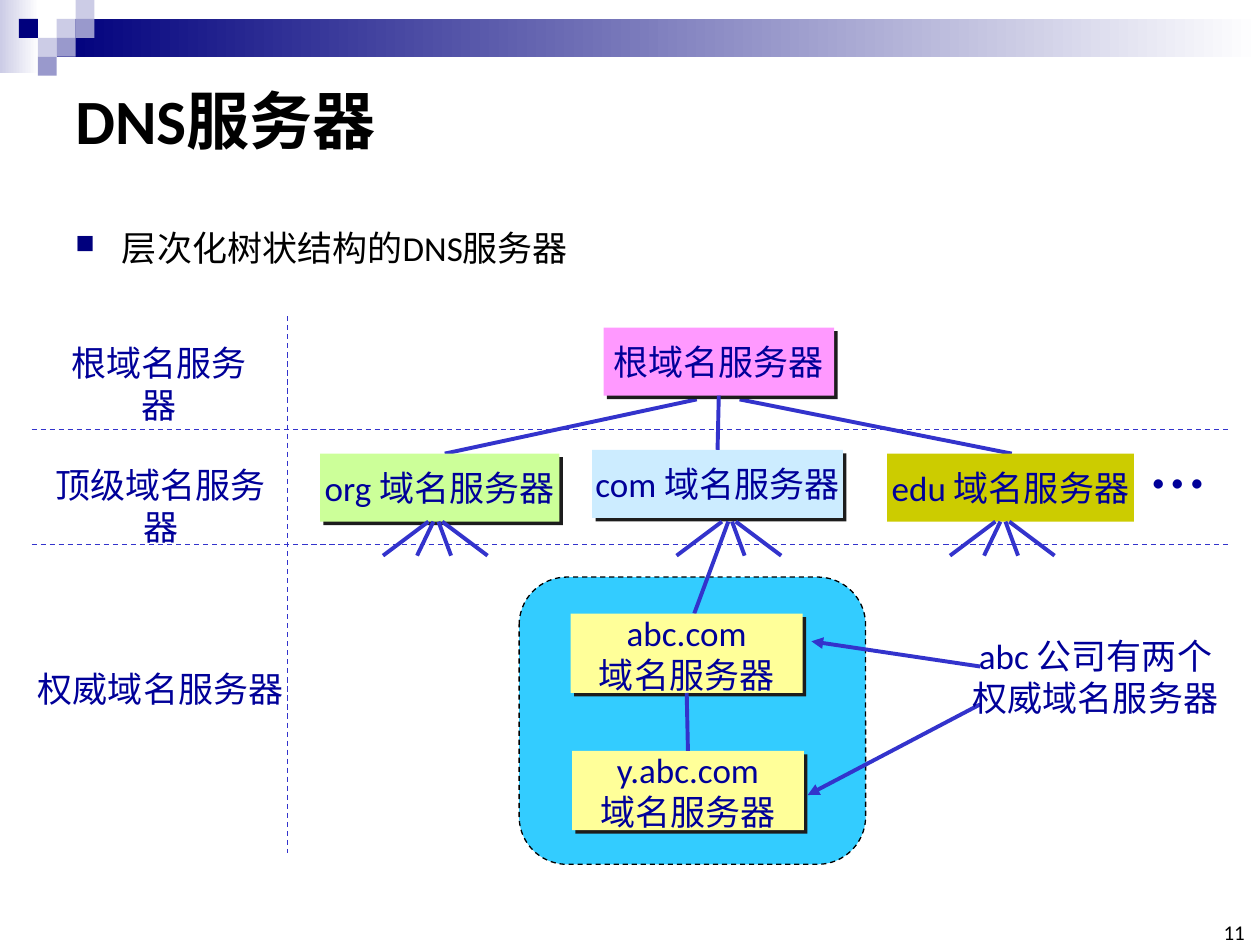
import pptx
import pptx.util
import pptx.dml.color
import pptx.enum.dml
import pptx.enum.shapes
import pptx.enum.text
import pptx.oxml
import pptx.oxml.ns

RGBColor = pptx.dml.color.RGBColor
Pt = pptx.util.Pt
MSO_SHAPE = pptx.enum.shapes.MSO_SHAPE
ALIGN = pptx.enum.text.PP_ALIGN
ANCHOR = pptx.enum.text.MSO_ANCHOR

BLACK = RGBColor(0x00, 0x00, 0x00)
WHITE = RGBColor(0xFF, 0xFF, 0xFF)
NAVY = RGBColor(0x00, 0x00, 0x7D)
LAVENDER = RGBColor(0xCC, 0xCC, 0xE6)
PERIWINKLE = RGBColor(0x99, 0x99, 0xCC)
LABEL_BLUE = RGBColor(0x00, 0x00, 0x99)
LINE_BLUE = RGBColor(0x33, 0x33, 0xCC)
SKY = RGBColor(0x33, 0xCC, 0xFF)
PINK = RGBColor(0xFF, 0x99, 0xFF)
GREEN = RGBColor(0xCC, 0xFF, 0x99)
PALE_BLUE = RGBColor(0xCC, 0xEC, 0xFF)
OLIVE = RGBColor(0xCC, 0xCC, 0x00)
YELLOW = RGBColor(0xFF, 0xFF, 0x99)

FONT = "Calibri"
COLUMNS, ROWS = 100, 75
CELL = pptx.util.Inches(10) // COLUMNS
SQUARE = 1.5


def grid(*lengths):
    return [round(length * CELL) for length in lengths]


def add_xml(parent, tag, attributes="", content=""):
    namespace = pptx.oxml.ns.nsdecls("a")
    element = pptx.oxml.parse_xml(
        f"<a:{tag} {namespace} {attributes}>{content}</a:{tag}>")
    parent.append(element)


def write(shape, text, size=20, color=LABEL_BLUE, align=ALIGN.CENTER,
          anchor=ANCHOR.TOP, wrap=False, bold=False):
    text_frame = shape.text_frame
    text_frame.text = text
    text_frame.word_wrap = wrap
    text_frame.vertical_anchor = anchor
    for paragraph in text_frame.paragraphs:
        paragraph.alignment = align
        for run in paragraph.runs:
            run.font.name = FONT
            run.font.size = Pt(size)
            run.font.bold = bold
            run.font.color.rgb = color


def add_text(slide, box, text, **style):
    shape = slide.shapes.add_textbox(*grid(*box))
    write(shape, text, **style)
    return shape


def add_block(slide, box, color, kind=MSO_SHAPE.RECTANGLE):
    shape = slide.shapes.add_shape(kind, *grid(*box))
    shape.shadow.inherit = False
    shape.fill.solid()
    shape.fill.fore_color.rgb = color
    shape.line.fill.background()
    return shape


def add_gradient(slide, box, color):
    shape = add_block(slide, box, color)
    shape.fill.gradient()
    shape.fill.gradient_angle = 0
    for stop, stop_color in zip(shape.fill.gradient_stops, (color, WHITE)):
        stop.color.rgb = stop_color


def add_server(slide, box, color, text, shadow=True):
    shape = add_block(slide, box, color)
    write(shape, text, anchor=ANCHOR.MIDDLE)
    if shadow:
        effects = shape._element.spPr.find(pptx.oxml.ns.qn("a:effectLst"))
        add_xml(effects, "outerShdw",
                f'dist="{Pt(2.8)}" dir="2700000" algn="ctr" rotWithShape="0"',
                '<a:srgbClr val="1C1C1C"/>')
    return shape


def add_line(slide, start, end, width=2.25, dashed=False, arrow=False):
    line = slide.shapes.add_connector(
        pptx.enum.shapes.MSO_CONNECTOR.STRAIGHT, *grid(*start, *end))
    line.line.color.rgb = LINE_BLUE
    line.line.width = Pt(width)
    if dashed:
        line.line.dash_style = pptx.enum.dml.MSO_LINE.DASH
    if arrow:
        add_xml(line.line._get_or_add_ln(), "tailEnd", 'type="triangle"')
    add_xml(line._element.spPr, "effectLst")
    return line


def join(slide, upper, lower):
    line = add_line(slide, (0, 0), (1, 1))
    line.begin_connect(upper, 2)
    line.end_connect(lower, 0)


def add_fan(slide, center, spokes):
    for start, end in spokes:
        add_line(slide, (center + start, 41.4), (center + end, 44.1))


def add_header(slide):
    add_gradient(slide, (0, 0, 3.1, 5.8), LAVENDER)
    add_gradient(slide, (4.5, SQUARE, COLUMNS - 4.5, 3), NAVY)
    squares = [(3, 1, LAVENDER), (4, 0, LAVENDER), (4, 1, PERIWINKLE),
               (2, 2, LAVENDER), (1, 1, NAVY), (3, 2, PERIWINKLE),
               (2, 3, PERIWINKLE)]
    for column, row, color in squares:
        add_block(slide, (column * SQUARE, row * SQUARE, SQUARE, SQUARE), color)


def add_heading(slide):
    add_text(slide, (5, 5, 90, 8.9), "DNS服务器", size=36, color=BLACK,
             align=ALIGN.LEFT, anchor=ANCHOR.MIDDLE, wrap=True, bold=True)
    body = add_text(slide, (5, 15.8, 90, 7.3), "层次化树状结构的DNS服务器",
                    color=BLACK, align=ALIGN.LEFT, wrap=True)
    paragraph = body.text_frame.paragraphs[0]
    paragraph.line_spacing = 1.5
    properties = paragraph._p.get_or_add_pPr()
    indent = grid(3.7)[0]
    properties.set("marL", str(indent))
    properties.set("indent", str(-indent))
    add_xml(properties, "buClr", content=f'<a:srgbClr val="{NAVY}"/>')
    add_xml(properties, "buSzPct", 'val="75000"')
    add_xml(properties, "buChar", 'char="■"')
    number = add_text(slide, (96.5, 73.3, 2.3, 1.7), "11", size=12, color=BLACK,
                      align=ALIGN.RIGHT, anchor=ANCHOR.BOTTOM)
    frame = number.text_frame
    frame.margin_left = frame.margin_right = 0
    frame.margin_top = frame.margin_bottom = 0


def add_levels(slide):
    for row in (34.1, 43.2):
        add_line(slide, (2.5, row), (97.5, row), width=0.75, dashed=True)
    add_line(slide, (22.8, 25.1), (22.8, 67.7), width=0.75, dashed=True)
    add_text(slide, (4.3, 26.6, 16.6, 4.4), "根域名服务器", wrap=True)
    add_text(slide, (3.2, 36.3, 19.1, 4.4), "顶级域名服务器", wrap=True)
    add_text(slide, (1.9, 52.5, 21.7, 4.4), "权威域名服务器")


def add_tree(slide):
    company = add_block(slide, (41.2, 45.8, 27.5, 22.8), SKY,
                        MSO_SHAPE.ROUNDED_RECTANGLE)
    company.line.color.rgb = BLACK
    company.line.width = Pt(0.75)
    company.line.dash_style = pptx.enum.dml.MSO_LINE.DASH

    add_line(slide, (55.3, 31.7), (35.3, 36))
    add_line(slide, (58.7, 31.7), (80.3, 36))
    root = add_server(slide, (47.9, 26, 18.3, 5.4), PINK, "根域名服务器")
    add_server(slide, (25.4, 36, 19, 5.4), GREEN, "org 域名服务器")
    com = add_server(slide, (47, 35.7, 19.9, 5.4), PALE_BLUE, "com 域名服务器")
    add_server(slide, (70.4, 36, 19.6, 5.4), OLIVE, "edu 域名服务器", shadow=False)
    join(slide, root, com)
    add_text(slide, (90.4, 32.2, 5.6, 8.4), "…", size=44, align=ALIGN.LEFT)

    spokes = [(0.5, 4.1), (0.2, 1.2), (-0.6, -4.2), (-0.2, -1.5)]
    add_fan(slide, 34.6, spokes)
    add_fan(slide, 57.9, spokes[:3])
    add_fan(slide, 79.6, spokes)
    add_line(slide, (57.8, 41.4), (55.1, 48.7))

    primary = add_server(slide, (45.3, 48.7, 18.4, 6.3), YELLOW,
                         "abc.com\n域名服务器")
    secondary = add_server(slide, (45.4, 59.6, 18.4, 6.3), YELLOW,
                           "y.abc.com\n域名服务器")
    join(slide, primary, secondary)
    add_line(slide, (77.8, 52.9), (64.4, 50.9), arrow=True)
    add_line(slide, (77.8, 55.9), (64.1, 63.1), arrow=True)
    add_text(slide, (76.1, 49.9, 21.7, 7.7), "abc 公司有两个\n权威域名服务器")


def main():
    presentation = pptx.Presentation()
    presentation.slide_width, presentation.slide_height = grid(COLUMNS, ROWS)
    slide = presentation.slides.add_slide(presentation.slide_layouts[6])
    add_header(slide)
    add_heading(slide)
    add_levels(slide)
    add_tree(slide)
    presentation.save("out.pptx")


if __name__ == "__main__":
    main()
